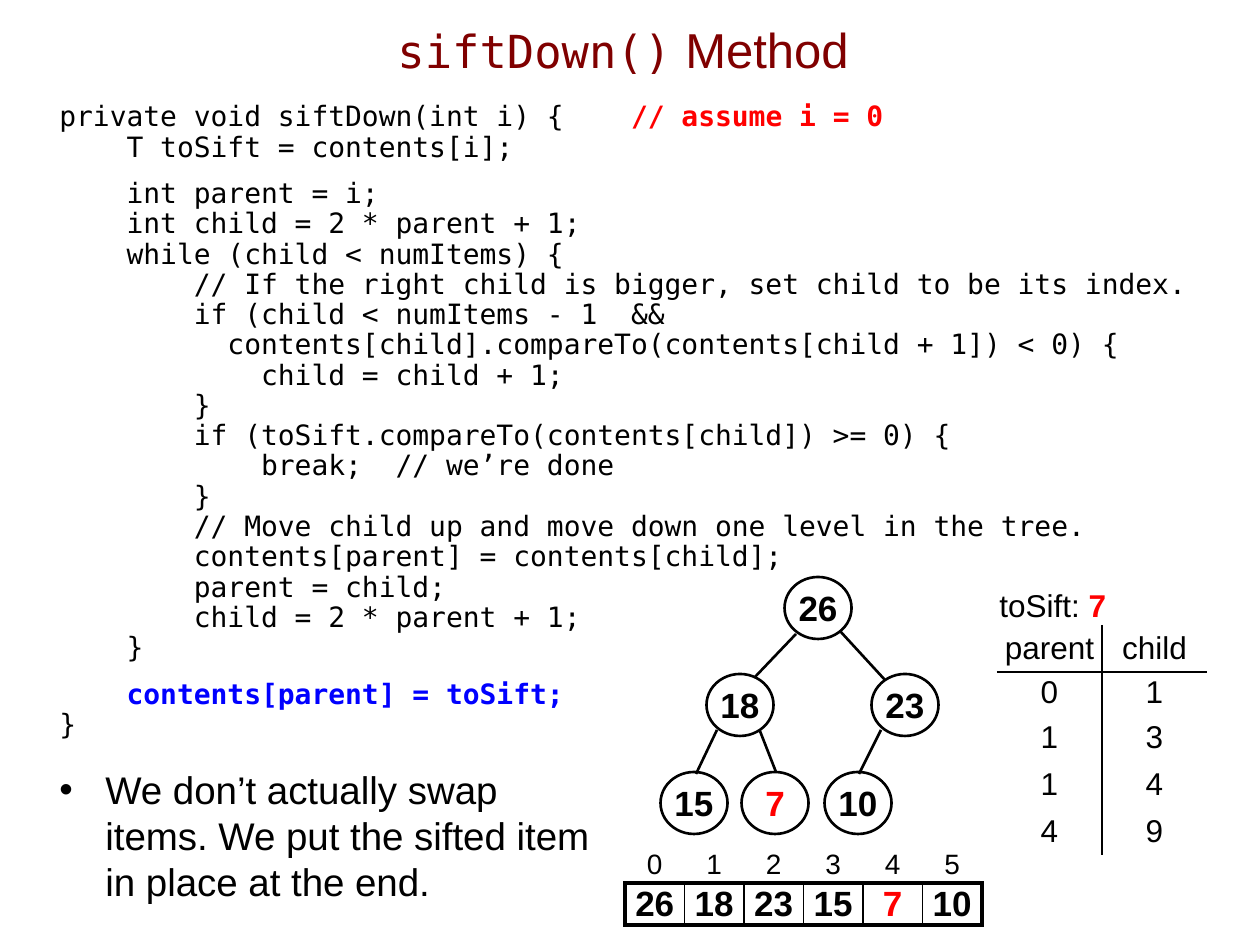
from lxml.etree import SubElement
from pptx import Presentation
from pptx.dml.color import RGBColor
from pptx.enum.shapes import MSO_CONNECTOR as Connector, MSO_SHAPE as Shape
from pptx.enum.text import MSO_ANCHOR as Anchor, PP_ALIGN as Align
from pptx.oxml import parse_xml
from pptx.oxml.ns import nsdecls, qn
from pptx.util import Emu, Pt

# ---- Content ----
COLORS = {"text": "000000", "title": "800000", "alert": "FF0000", "key": "0000FF"}
SANS, MONO = "Arial", "DejaVu Sans Mono"

# Each block of code is set apart by a small gap; a line is a list of (text, colour)
CODE_BLOCKS = [
    [
        [("private void siftDown(int i) {    ", "text"), ("// assume i = 0", "alert")],
        [("    T toSift = contents[i];", "text")],
    ],
    [[(line, "text")] for line in (
        "    int parent = i;",
        "    int child = 2 * parent + 1;",
        "    while (child < numItems) {",
        "        // If the right child is bigger, set child to be its index.",
        "        if (child < numItems - 1  &&",
        "          contents[child].compareTo(contents[child + 1]) < 0) {",
        "            child = child + 1;",
        "        }",
        "        if (toSift.compareTo(contents[child]) >= 0) {",
        "            break;  // we’re done",
        "        }",
        "        // Move child up and move down one level in the tree.",
        "        contents[parent] = contents[child];",
        "        parent = child;",
        "        child = 2 * parent + 1;",
        "    }",
    )],
    [
        [("    contents[parent] = toSift;", "key")],
        [("}", "text")],
    ],
]
NOTE = "We don’t actually swap\nitems. We put the sifted item\nin place at the end."

SIFTED = "7"
HEAP = ["26", "18", "23", "15", SIFTED, "10"]
NODE_CENTERS = [(818, 608), (740, 705), (905, 705), (694, 803), (775, 803), (858, 803)]
NODE_SIZE = (67, 62)
EDGES = [
    (796, 634, 755, 677), (840, 631, 885, 680),
    (717, 730, 696, 774), (760, 731, 776, 772), (881, 730, 859, 774),
]
TRACE = [["parent", "child"], ["0", "1"], ["1", "3"], ["1", "4"], ["4", "9"]]
TRACE_HEIGHTS = [47, 42, 47, 47, 47]
ARRAY = [[str(index) for index in range(len(HEAP))], HEAP]
ARRAY_HEIGHTS = [36, 42]

# ---- Helpers ----
SCALE = 914400 / 126


def px(value):
    return Emu(round(value * SCALE))


def style(span, size, color="text", font=SANS, bold=False):
    span.font.size, span.font.name, span.font.bold = Pt(size), font, bold
    span.font.color.rgb = RGBColor.from_string(COLORS[color])


def add_span(para, text, *args, **kwargs):
    span = para.add_run()
    span.text = text
    style(span, *args, **kwargs)


def add_box(left, top, width, height, wrap=True):
    frame = page.shapes.add_textbox(px(left), px(top), px(width), px(height)).text_frame
    frame.word_wrap = wrap
    return frame


def value_color(text):
    return "alert" if text == SIFTED else "text"


def set_borders(cell, widths):
    """Draw the L, R, T, B sides in the given point widths; 0 is no line."""
    props = cell._tc.get_or_add_tcPr()
    for place, (side, width) in enumerate(zip("LRTB", widths)):
        paint = (f'<a:solidFill><a:srgbClr val="{COLORS["text"]}"/></a:solidFill>'
                 if width else "<a:noFill/>")
        props.insert(place, parse_xml(
            f'<a:ln{side} {nsdecls("a")} w="{Pt(width)}">{paint}</a:ln{side}>'))


def add_table(rows, left, top, width, heights, sizes, bold_rows, borders):
    frame = page.shapes.add_table(len(rows), len(rows[0]), px(left), px(top),
                                  px(width), px(sum(heights)))
    table = frame.table
    table.first_row = table.horz_banding = False
    for r, values in enumerate(rows):
        table.rows[r].height = px(heights[r])
        for c, value in enumerate(values):
            cell = table.cell(r, c)
            cell.margin_left = cell.margin_right = cell.margin_top = cell.margin_bottom = 0
            cell.vertical_anchor = Anchor.MIDDLE
            cell.fill.background()
            set_borders(cell, borders(r, c))
            para = cell.text_frame.paragraphs[0]
            para.alignment = Align.CENTER
            bold = r in bold_rows
            add_span(para, value, sizes[r], value_color(value), bold=bold)


def trace_borders(row, column):
    return (column == 1, column == 0, row == 1, row == 0)


def array_borders(row, column):
    if row == 0:
        return (0, 0, 0, 2.25)
    last = column == len(HEAP) - 1
    return (1 if column else 2.25, 2.25 if last else 1, 2.25, 2.25)


deck = Presentation()
deck.slide_width, deck.slide_height = px(1260), px(945)
page = deck.slides.add_slide(deck.slide_layouts[6])

# ---- Title ----
frame = add_box(81, -10, 1084, 117)
frame.vertical_anchor = Anchor.MIDDLE
para = frame.paragraphs[0]
para.alignment = Align.CENTER
add_span(para, "siftDown()", 26, "title", MONO)
add_span(para, " Method", 28, "title")

# ---- Code and note ----
frame = add_box(47, 96, 1213, 774)
para = frame.paragraphs[0]
for b, block in enumerate(CODE_BLOCKS):
    for n, line in enumerate(block):
        if b or n:
            para = frame.add_paragraph()
        para.line_spacing = Pt(17.3)
        para.space_before = Pt(9.3 if b and n == 0 else 0)
        for text, color in line:
            add_span(para, text, 16, color, MONO, bold=color != "text")

para = frame.add_paragraph()
para.text = NOTE
para.line_spacing, para.space_before = Pt(26.3), Pt(15)
for span in para.runs:
    style(span, 22)
props = para._p.get_or_add_pPr()
props.set("marL", str(px(46)))
props.set("indent", str(px(-46)))
SubElement(props, qn("a:buFont"), typeface=SANS)
SubElement(props, qn("a:buChar"), char="•")

# ---- Heap as a tree ----
for x1, y1, x2, y2 in EDGES:
    edge = page.shapes.add_connector(Connector.STRAIGHT, px(x1), px(y1), px(x2), px(y2))
    edge.line.width = Pt(1.5)
    edge.line.color.rgb = RGBColor.from_string(COLORS["text"])
    SubElement(edge._element.spPr, qn("a:effectLst"))

width, height = NODE_SIZE
for value, (x, y) in zip(HEAP, NODE_CENTERS):
    node = page.shapes.add_shape(Shape.OVAL, px(x - width / 2), px(y - height / 2),
                                 px(width), px(height))
    node.shadow.inherit = False
    node.fill.background()
    node.line.width = Pt(1.5)
    node.line.color.rgb = RGBColor.from_string(COLORS["text"])
    frame = node.text_frame
    frame.margin_left = frame.margin_right = frame.margin_top = frame.margin_bottom = 0
    frame.vertical_anchor = Anchor.MIDDLE
    frame.word_wrap = False
    para = frame.paragraphs[0]
    para.alignment = Align.CENTER
    add_span(para, value, 20, value_color(value), bold=True)

# ---- Trace of the variables ----
para = add_box(987, 580, 132, 50, wrap=False).paragraphs[0]
add_span(para, "toSift: ", 18)
add_span(para, SIFTED, 18, "alert", bold=True)
add_table(TRACE, 997, 625, 210, TRACE_HEIGHTS, [18] * len(TRACE), (), trace_borders)

# ---- Heap as an array ----
add_table(ARRAY, 625, 847, 357, ARRAY_HEIGHTS, [16, 20], (1,), array_borders)

deck.save("out.pptx")
